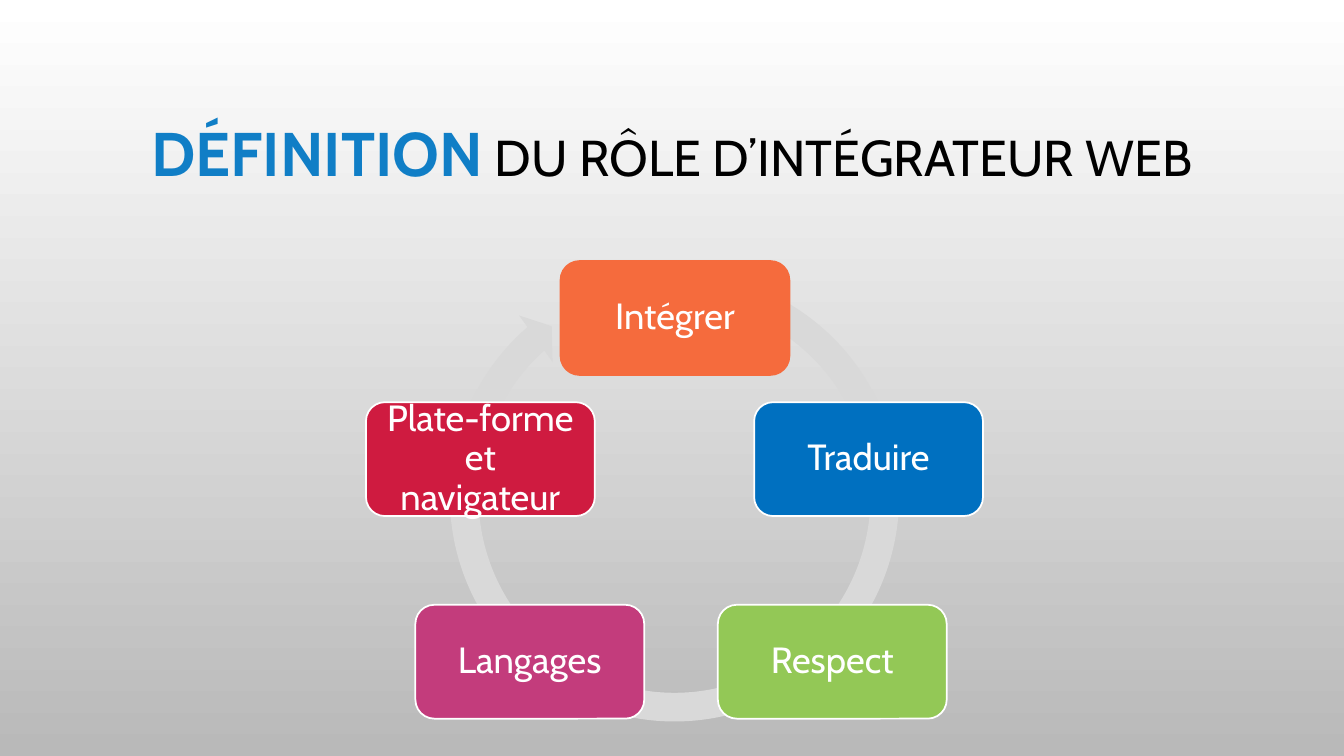
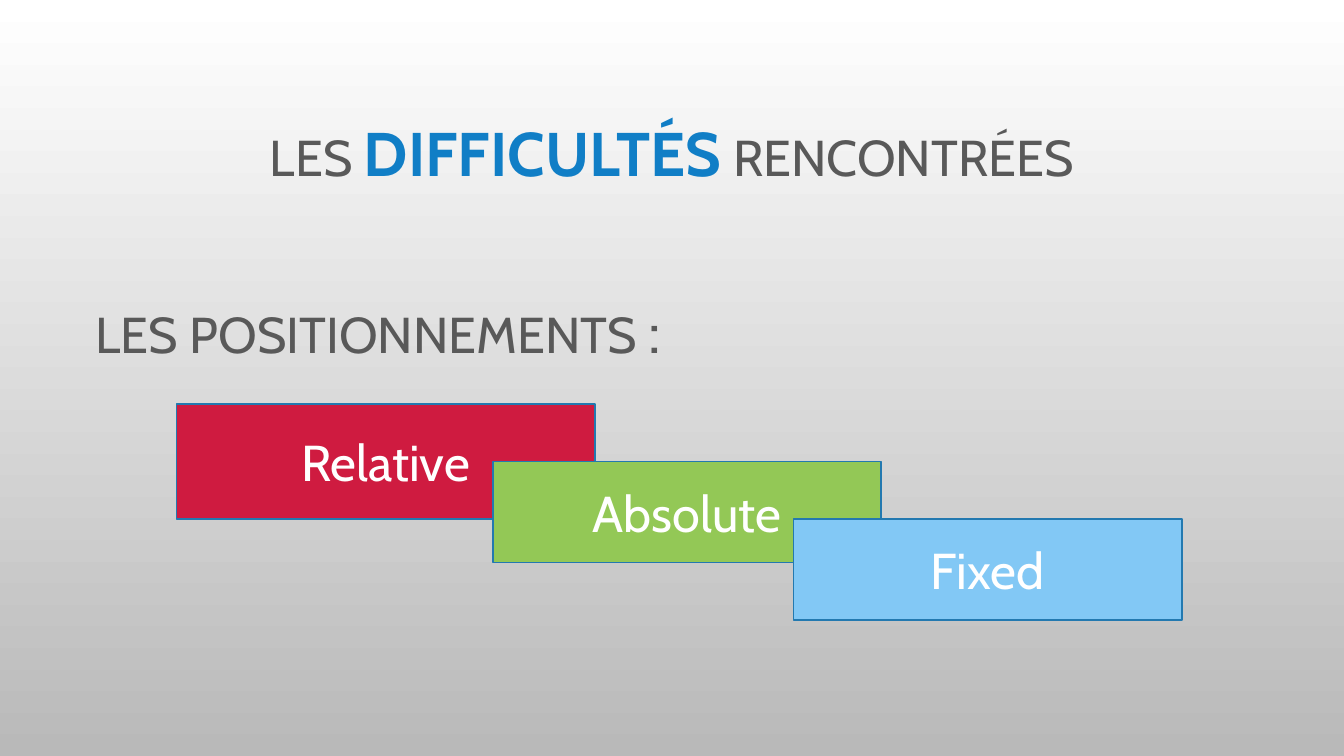
from pptx import Presentation
from pptx import util as u
from pptx.dml.color import RGBColor
from pptx.enum import shapes, text

PX = 9144
FONT = "Cabin"
BLUE, GREY, BLACK, WHITE = "107EC6", "595959", "000000", "FFFFFF"
RED, GREEN, EDGE = "CF1B40", "93C856", "2379B0"
KIND = shapes.MSO_SHAPE
ACCENT = {"size": 44, "bold": True, "color": BLUE}


def color(code):
    return RGBColor.from_string(code)


def apply(target, values):
    for name, value in values.items():
        setattr(target, name, value)


class Painter:
    def __init__(self, width, height):
        self.deck = Presentation()
        apply(self.deck, {"slide_width": width * PX, "slide_height": height * PX})
        self.slide = None
        fill = self.deck.slide_master.background.fill
        fill.gradient()
        fill.gradient_angle = 270
        for stop, code, position in zip(fill.gradient_stops, (WHITE, "B9B9B9"), (0, 1)):
            stop.color.rgb = color(code)
            stop.position = position

    def place(self, item, area):
        names = ("left", "top", "width", "height")
        apply(item, {name: value * PX for name, value in zip(names, area)})

    def set_text(self, frame, spans, frame_format, para_format):
        apply(frame, {"word_wrap": True, "auto_size": text.MSO_AUTO_SIZE.NONE})
        apply(frame, frame_format)
        para = frame.paragraphs[0]
        apply(para, para_format)
        for words, style in spans:
            span = para.add_run()
            span.text = words
            apply(span.font, {"name": FONT, "size": u.Pt(style["size"]),
                              "bold": style.get("bold", False)})
            span.font.color.rgb = color(style["color"])

    def add_slide(self, *spans):
        self.slide = self.deck.slides.add_slide(self.deck.slide_layouts[5])
        title = self.slide.shapes.title
        self.place(title, (100, 68, 1133, 175))
        self.set_text(title.text_frame, spans,
                      {"vertical_anchor": text.MSO_ANCHOR.MIDDLE},
                      {"alignment": text.PP_ALIGN.CENTER, "line_spacing": 0.9})

    def add_text(self, area, *spans):
        box = self.slide.shapes.add_textbox(*(value * PX for value in area))
        self.set_text(box.text_frame, spans, {"vertical_anchor": text.MSO_ANCHOR.TOP},
                      {"line_spacing": 1.2, "space_before": u.Pt(10)})

    def add_shape(self, kind, area, fill, line=None):
        shape = self.slide.shapes.add_shape(kind, *(value * PX for value in area))
        shape.shadow.inherit = False
        shape.fill.solid()
        shape.fill.fore_color.rgb = color(fill)
        if line:
            shape.line.color.rgb = color(line)
            shape.line.width = u.Pt(1.25)
        else:
            shape.line.fill.background()
        return shape

    def add_box(self, kind, area, words, fill, line, size, margin=10, spacing=1.0):
        box = self.add_shape(kind, area, fill, line)
        sides = ("margin_left", "margin_right", "margin_top", "margin_bottom")
        frame_format = {side: margin * PX for side in sides}
        frame_format["vertical_anchor"] = text.MSO_ANCHOR.MIDDLE
        self.set_text(box.text_frame, [(words, {"size": size, "color": WHITE})], frame_format,
                      {"alignment": text.PP_ALIGN.CENTER, "line_spacing": spacing})

    def add_ring(self, area, fill, adjustments):
        ring = self.add_shape(KIND.CIRCULAR_ARROW, area, fill)
        for index, value in enumerate(adjustments):
            ring.adjustments[index] = value


def build_definition(painter):
    painter.add_slide(("DÉFINITION", ACCENT),
                      (" DU RÔLE D’INTÉGRATEUR WEB", {"size": 36, "color": BLACK}))
    painter.add_ring((432, 256, 474, 474), "D9D9D9", (0.06, 3.31, 137.26, 174.17, 0.06))
    steps = (
        ("Intégrer", 556, 259, "F56B3D", "F56B3D"),
        ("Traduire", 748, 399, "0070C0", WHITE),
        ("Respect", 712, 600, GREEN, WHITE),
        ("Langages", 412, 600, "C33C7C", WHITE),
        ("Plate-forme et navigateur", 363, 399, RED, WHITE),
    )
    for words, left, top, fill, line in steps:
        painter.add_box(KIND.ROUNDED_RECTANGLE, (left, top, 227, 113), words, fill, line,
                        size=26, margin=11, spacing=0.9)


def build_difficulties(painter):
    plain = {"size": 36, "color": GREY}
    painter.add_slide(("LES ", plain), ("DIFFICULTÉS", ACCENT), (" RENCONTRÉES", plain))
    painter.add_text((85, 270, 1133, 374), ("LES POSITIONNEMENTS ", plain),
                     (":", {"size": 44, "color": GREY}))
    positions = (
        ("Relative", (175, 401, 415, 114), RED),
        ("Absolute", (489, 458, 385, 100), GREEN),
        ("Fixed", (787, 515, 385, 100), "82C8F5"),
    )
    for words, area, fill in positions:
        painter.add_box(KIND.RECTANGLE, area, words, fill, EDGE, size=36)


def main():
    painter = Painter(1333, 750)
    build_definition(painter)
    build_difficulties(painter)
    painter.deck.save("out.pptx")


if __name__ == "__main__":
    main()
